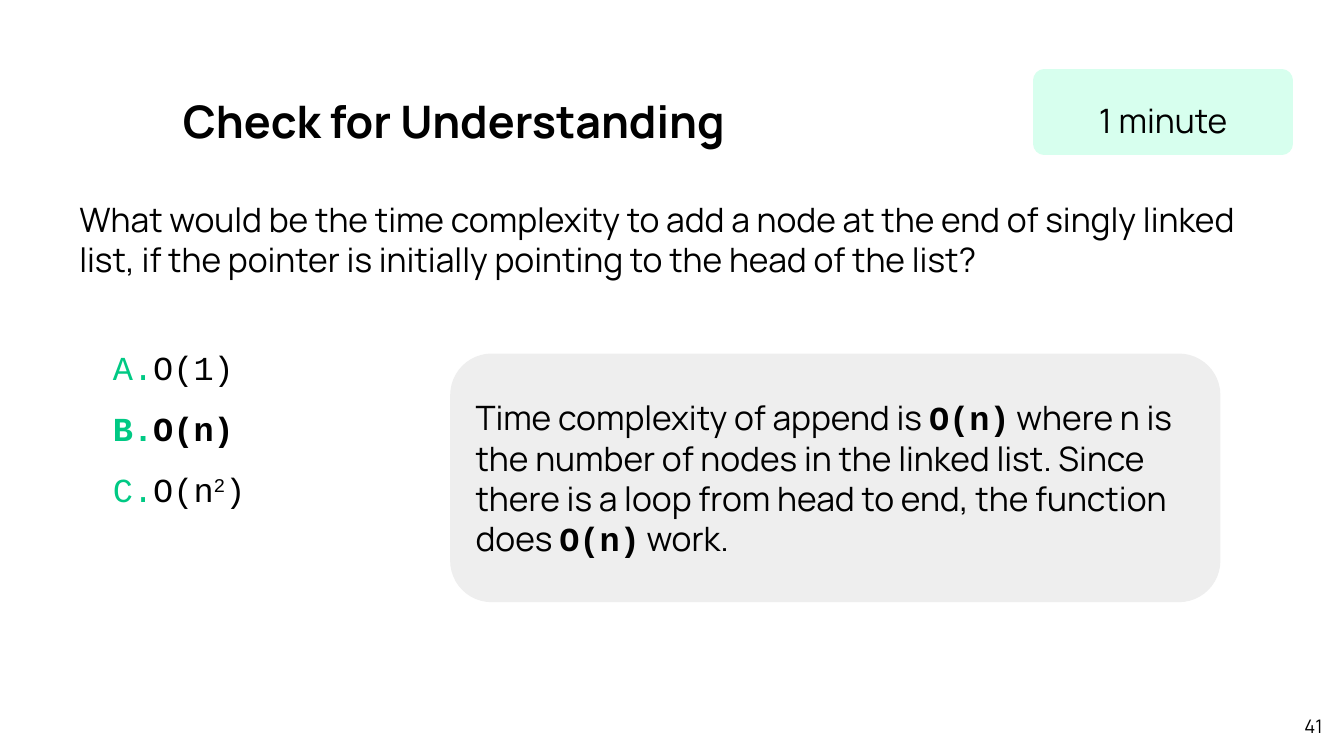
from lxml import etree
from pptx import Presentation
from pptx.dml.color import RGBColor
from pptx.enum.shapes import MSO_SHAPE
from pptx.enum.text import MSO_ANCHOR, MSO_AUTO_SIZE, PP_ALIGN
from pptx.oxml.ns import qn
from pptx.util import Pt

RECTANGLE, ROUNDED = MSO_SHAPE.RECTANGLE, MSO_SHAPE.ROUNDED_RECTANGLE
TOP, MIDDLE, BOTTOM = MSO_ANCHOR.TOP, MSO_ANCHOR.MIDDLE, MSO_ANCHOR.BOTTOM
LEFT, CENTER, RIGHT = PP_ALIGN.LEFT, PP_ALIGN.CENTER, PP_ALIGN.RIGHT
FIXED_SIZE = MSO_AUTO_SIZE.NONE

SANS, MONO = "Manrope", "Courier New"
BLACK, MINT, GREEN, GREY = "000000", "D7FFEE", "00C984", "EEEEEE"
CODE = {"font": MONO, "bold": True}


def color(value):
    """Turn a hex string into a colour."""
    return RGBColor.from_string(value)


def place(shape, box):
    """Move a shape to a left, top, width, height box."""
    shape.left, shape.top, shape.width, shape.height = map(Pt, box)


def prepare_frame(shape, anchor):
    """Give a shape an empty wrapped text frame and return it."""
    frame = shape.text_frame
    frame.word_wrap = True
    frame.auto_size = FIXED_SIZE
    frame.vertical_anchor = anchor
    frame.margin_left = frame.margin_top = Pt(7.2)
    frame.margin_right = frame.margin_bottom = Pt(7.2)
    return frame


def add_span(para, text, font=SANS, size=18, bold=False, baseline=0):
    """Add a formatted run to a paragraph."""
    span = para.add_run()
    span.text = text
    span.font.name = font
    span.font.size = Pt(size)
    span.font.bold = bold
    span.font.color.rgb = color(BLACK)
    if baseline:
        span.font._element.set("baseline", str(baseline * 1000))


def format_para(para, align=LEFT, spacing=1.0, before=0):
    """Set the alignment and spacing of a paragraph."""
    para.alignment = align
    para.line_spacing = spacing
    para.space_before = Pt(before)
    para.space_after = Pt(0)


def set_bullet(para, lettered=False):
    """Give a paragraph a green letter, or no bullet at all."""
    props = para._p.get_or_add_pPr()
    props.set("marL", str(Pt(36) if lettered else 0))
    props.set("indent", str(Pt(-18) if lettered else 0))
    if not lettered:
        etree.SubElement(props, qn("a:buNone"))
        return
    tint = etree.SubElement(props, qn("a:buClr"))
    etree.SubElement(tint, qn("a:srgbClr"), val=GREEN)
    etree.SubElement(props, qn("a:buFont"), typeface=MONO)
    etree.SubElement(props, qn("a:buAutoNum"), type="alphaUcPeriod")


def add_panel(page, box, kind, fill):
    """Add a filled shape without outline or shadow."""
    panel = page.shapes.add_shape(kind, *map(Pt, box))
    panel.shadow.inherit = False
    panel.fill.solid()
    panel.fill.fore_color.rgb = color(fill)
    panel.line.fill.background()
    return panel


def add_title(page, box, text):
    """Place the slide title."""
    title = page.shapes.title
    place(title, box)
    para = prepare_frame(title, BOTTOM).paragraphs[0]
    format_para(para)
    add_span(para, text, size=24, bold=True)


def add_timer(page, box, text):
    """Add the time limit, its corners rounded by a thick outline."""
    timer = add_panel(page, box, RECTANGLE, MINT)
    timer.line.color.rgb = color(MINT)
    timer.line.width = Pt(12)
    para = prepare_frame(timer, TOP).paragraphs[0]
    format_para(para, align=CENTER, spacing=1.15)
    add_span(para, text)


def add_page_number(page, box, number):
    """Add the page number."""
    label = page.shapes.add_textbox(*map(Pt, box))
    para = prepare_frame(label, MIDDLE).paragraphs[0]
    format_para(para, align=RIGHT)
    add_span(para, str(number), size=10)


def add_question(page, box, question, options):
    """Fill the body with a question and its lettered options."""
    body = page.placeholders[1]
    place(body, box)
    frame = prepare_frame(body, TOP)
    para = frame.paragraphs[0]
    set_bullet(para)
    format_para(para)
    add_span(para, question)
    for index, spans in enumerate(options):
        para = frame.add_paragraph()
        set_bullet(para, lettered=True)
        format_para(para, before=11 if index else 36)
        for text, style in spans:
            add_span(para, text, **{"font": MONO, **style})


def add_answer(page, box, spans):
    """Add the rounded panel that explains the answer."""
    panel = add_panel(page, box, ROUNDED, GREY)
    panel.adjustments[0] = 0.167
    para = prepare_frame(panel, MIDDLE).paragraphs[0]
    format_para(para)
    for text, style in spans:
        add_span(para, text, **style)


def main():
    """Build the deck and save it."""
    deck = Presentation()
    deck.slide_width, deck.slide_height = Pt(720), Pt(405)
    page = deck.slides.add_slide(deck.slide_layouts[1])
    add_title(page, (90.7, 34.6, 334, 51.8), "Check for Understanding")
    add_timer(page, (559.4, 43.2, 127.4, 33.8), "1 minute")
    add_page_number(page, (672.5, 377.3, 43.2, 23.8), 41)
    add_question(
        page, (35.3, 99.4, 648.7, 264.2),
        "What would be the time complexity to add a node at the end of singly "
        "linked list, if the pointer is initially pointing to the head of the list?",
        [
            [("O(1)", {})],
            [("O(n)", {"bold": True})],
            [("O(n", {}), ("2", {"baseline": 30}), (")", {})],
        ],
    )
    add_answer(page, (241.2, 189.4, 412.6, 133.2), [
        ("Time complexity of append is ", {}),
        ("O(n)", CODE),
        (" where n is the number of nodes in the linked list. Since there is a "
         "loop from head to end, the function does ", {}),
        ("O(n)", CODE),
        (" work.", {}),
    ])
    deck.save("out.pptx")


if __name__ == "__main__":
    main()
